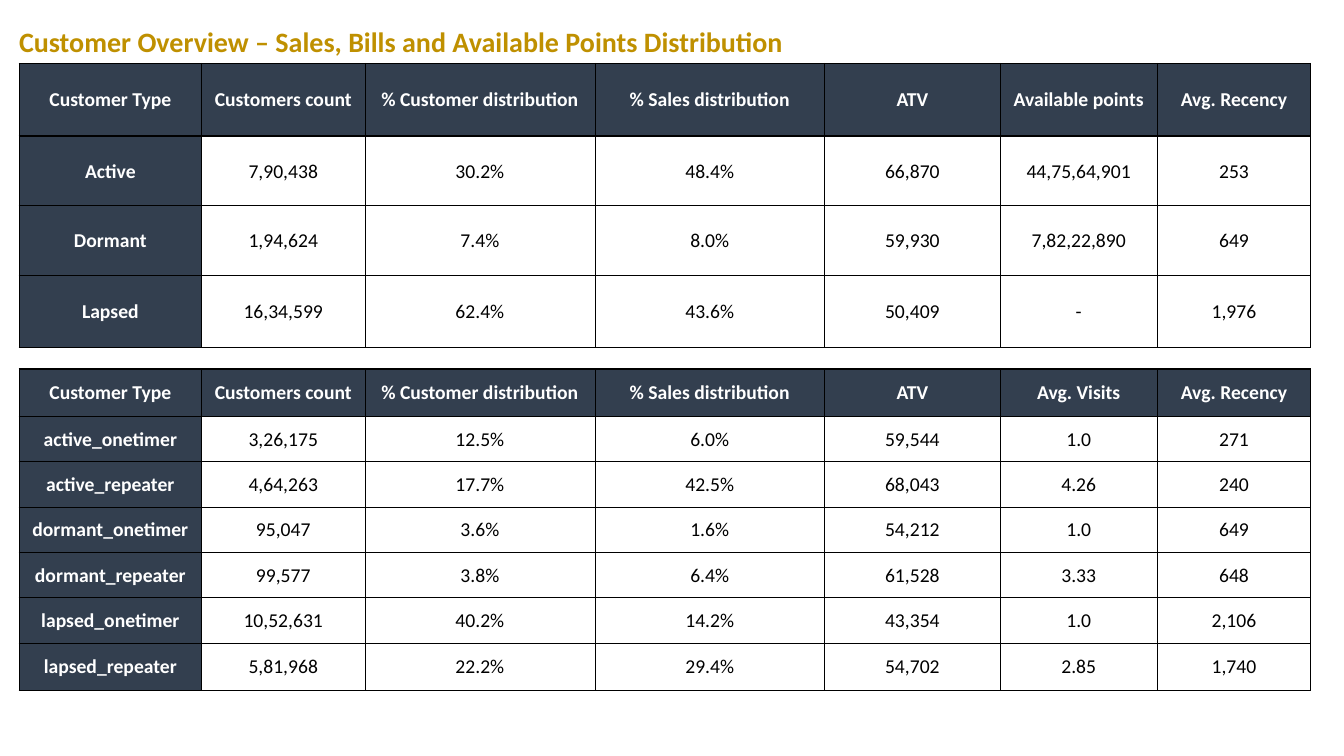
"""Build the customer overview slide with its two distribution tables."""
import lxml.etree
import pptx
import pptx.dml.color
import pptx.enum.text
import pptx.oxml.ns
import pptx.util

PX = 9144
THEME = {
    "font": "Calibri",
    "title_size": 20, "cell_size": 14,
    "thin": 0.5, "heavy": 1,
    "title": "BF9000", "header": "333F4F", "border": "000000",
    "header_text": "FFFFFF", "body_text": "000000",
}
COLUMN_WIDTHS = [181, 162, 228, 228, 174, 156, 152]
TABLES = [
    {
        "top": 63, "row_heights": [72, 69, 69, 72],
        "heavy_rows": {0, 1, 4}, "heavy_columns": {0, 7},
        "rows": [
            ["Customer Type", "Customers count", "% Customer distribution",
             "% Sales distribution", "ATV", "Available points", "Avg. Recency"],
            ["Active", "7,90,438", "30.2%", "48.4%", "66,870", "44,75,64,901", "253"],
            ["Dormant", "1,94,624", "7.4%", "8.0%", "59,930", "7,82,22,890", "649"],
            ["Lapsed", "16,34,599", "62.4%", "43.6%", "50,409", "-", "1,976"],
        ],
    },
    {
        "top": 366, "row_heights": [47, 45, 45, 45, 45, 45, 47],
        "heavy_rows": {0, 7}, "heavy_columns": {0, 1, 7},
        "rows": [
            ["Customer Type", "Customers count", "% Customer distribution",
             "% Sales distribution", "ATV", "Avg. Visits", "Avg. Recency"],
            ["active_onetimer", "3,26,175", "12.5%", "6.0%", "59,544", "1.0", "271"],
            ["active_repeater", "4,64,263", "17.7%", "42.5%", "68,043", "4.26", "240"],
            ["dormant_onetimer", "95,047", "3.6%", "1.6%", "54,212", "1.0", "649"],
            ["dormant_repeater", "99,577", "3.8%", "6.4%", "61,528", "3.33", "648"],
            ["lapsed_onetimer", "10,52,631", "40.2%", "14.2%", "43,354", "1.0", "2,106"],
            ["lapsed_repeater", "5,81,968", "22.2%", "29.4%", "54,702", "2.85", "1,740"],
        ],
    },
]


def add_span(para, text, size, color, bold):
    span = para.add_run()
    span.text = text
    span.font.name = THEME["font"]
    span.font.size = pptx.util.Pt(size)
    span.font.bold = bold
    span.font.color.rgb = pptx.dml.color.RGBColor.from_string(color)


def add_border(cell, side, heavy):
    name = pptx.oxml.ns.qn
    width = pptx.util.Pt(THEME["heavy" if heavy else "thin"])
    line = lxml.etree.SubElement(cell._tc.get_or_add_tcPr(), name(f"a:ln{side}"), w=str(width))
    fill = lxml.etree.SubElement(line, name("a:solidFill"))
    lxml.etree.SubElement(fill, name("a:srgbClr"), val=THEME["border"])


deck = pptx.Presentation()
deck.slide_width, deck.slide_height = 1333 * PX, 750 * PX
page = deck.slides.add_slide(deck.slide_layouts[6])

title_box = page.shapes.add_textbox(9 * PX, 19 * PX, 1282 * PX, 44 * PX)
title_box.text_frame.word_wrap = True
add_span(title_box.text_frame.paragraphs[0],
         "Customer Overview – Sales, Bills and Available Points Distribution",
         THEME["title_size"], THEME["title"], True)

for content in TABLES:
    rows, heights = content["rows"], content["row_heights"]
    frame = page.shapes.add_table(
        len(rows), len(COLUMN_WIDTHS), 19 * PX, content["top"] * PX,
        sum(COLUMN_WIDTHS) * PX, sum(heights) * PX)
    table = frame.table
    table.horz_banding = False
    for column, width in zip(table.columns, COLUMN_WIDTHS):
        column.width = width * PX
    for row, height in zip(table.rows, heights):
        row.height = height * PX

    for row_index, row in enumerate(rows):
        for column_index, text in enumerate(row):
            cell = table.cell(row_index, column_index)
            is_header = row_index == 0 or column_index == 0
            cell.margin_left = cell.margin_right = cell.margin_top = PX
            cell.margin_bottom = 0
            cell.vertical_anchor = pptx.enum.text.MSO_ANCHOR.MIDDLE
            add_border(cell, "L", column_index in content["heavy_columns"])
            add_border(cell, "R", column_index + 1 in content["heavy_columns"])
            add_border(cell, "T", row_index in content["heavy_rows"])
            add_border(cell, "B", row_index + 1 in content["heavy_rows"])
            if is_header:
                cell.fill.solid()
                cell.fill.fore_color.rgb = pptx.dml.color.RGBColor.from_string(THEME["header"])
            else:
                cell.fill.background()
            para = cell.text_frame.paragraphs[0]
            para.alignment = pptx.enum.text.PP_ALIGN.CENTER
            color = THEME["header_text" if is_header else "body_text"]
            add_span(para, text, THEME["cell_size"], color, is_header)

deck.save("out.pptx")
